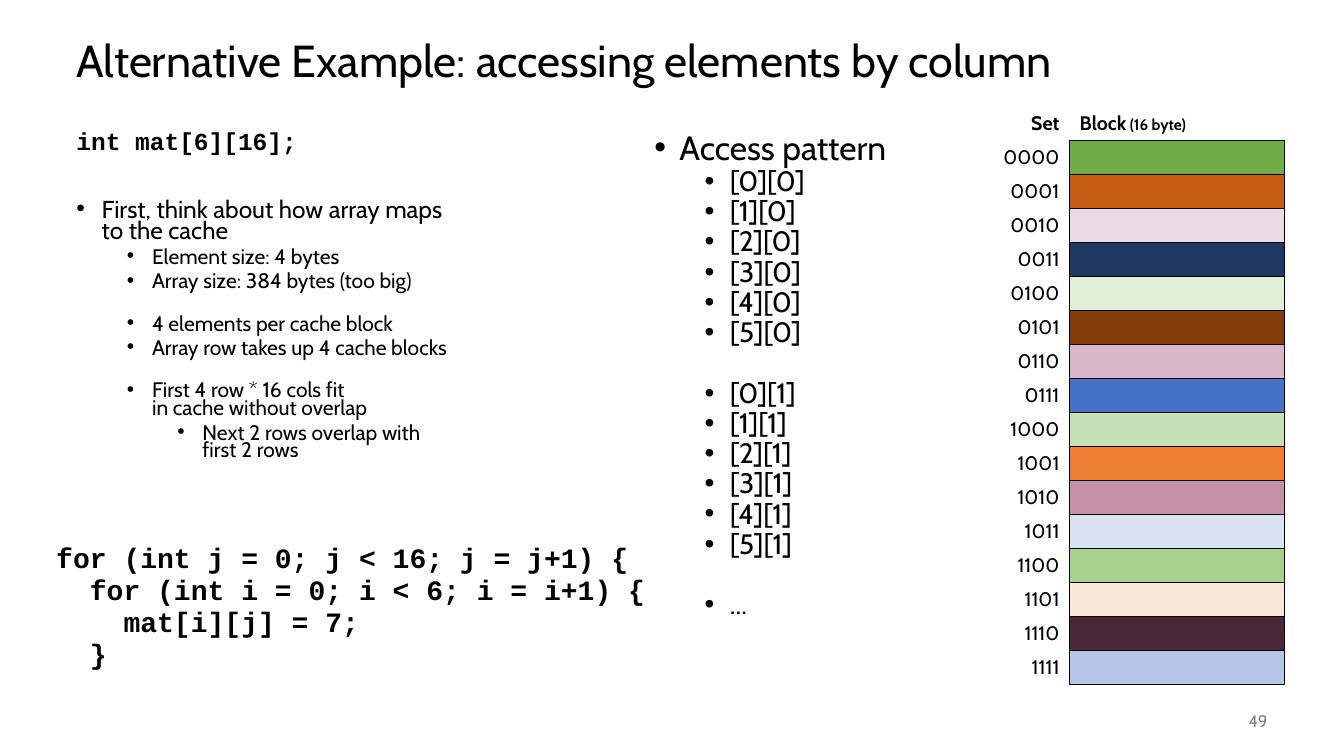
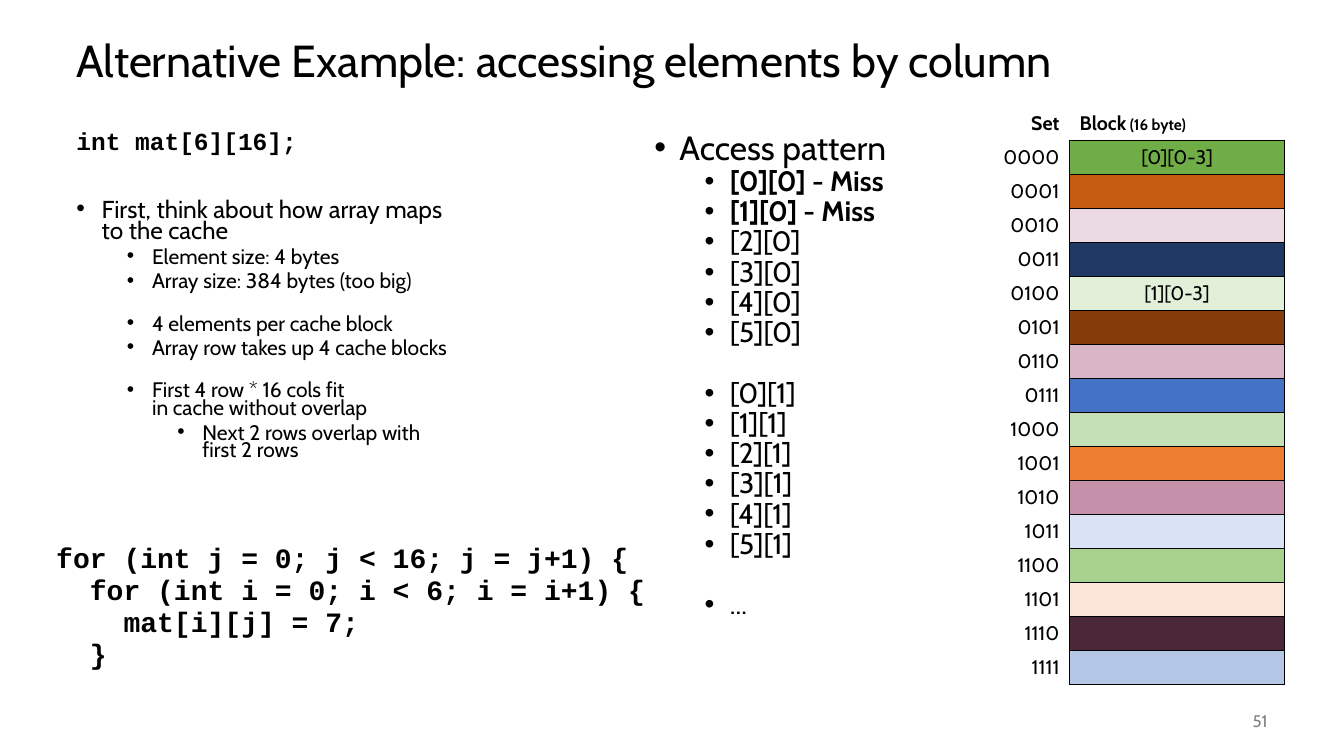
"""Build two slides on cache access by column."""
from dataclasses import dataclass

import pptx
import pptx.dml.color
import pptx.enum.text
import pptx.oxml
import pptx.oxml.ns
import pptx.util
from lxml import etree

Inches = pptx.util.Inches
Pt = pptx.util.Pt
ALIGN = pptx.enum.text.PP_ALIGN
MIDDLE = pptx.enum.text.MSO_ANCHOR.MIDDLE


@dataclass(frozen=True)
class Theme:
    """Fonts, colours and type sizes shared by the slides."""
    sans: str = "Cabin"
    mono: str = "Courier New"
    ink: str = "000000"
    paper: str = "FFFFFF"
    muted: str = "808080"
    title: float = 32
    heading: float = 24
    body: float = 20
    lead: float = 17.5
    detail: float = 15
    cell: float = 14
    unit: float = 11
    number: float = 12
    blocks: tuple = (
        "70AD47", "C55A11", "EBDAE3", "203864", "E2F0D9", "843C0B", "D8B5C7", "4472C4",
        "C5E0B4", "ED7D31", "C490AA", "DAE3F3", "A9D18E", "FBE5D6", "4A2839", "B4C7E7")


@dataclass(frozen=True)
class Box:
    """A region in hundredths of the slide's width and height."""
    left: float
    top: float
    width: float
    height: float

    def place(self):
        """Return the region's left, top, width and height as lengths."""
        return (int(self.left * COL), int(self.top * ROW),
                int(self.width * COL), int(self.height * ROW))


THEME = Theme()
WIDTH, HEIGHT = Inches(13.33), Inches(7.5)
COL, ROW = WIDTH / 100, HEIGHT / 100
TITLE_BOX = Box(4.95, 3.33, 90.02, 10)
NUMBER_BOX = Box(87.55, 92.67, 7.5, 5.33)
CODE_BOX = Box(3.45, 71.07, 56.79, 18.67)
NOTES_BOX = Box(4.95, 17.07, 29.48, 47.6)
CACHE_BOX = Box(72.92, 14.13, 22.66, 76.4)
PATTERN_BOX = Box(47.94, 16.67, 47.11, 73.33)

TITLE = "Alternative Example: accessing elements by column"
DECLARATION = "int mat[6][16];"
CODE = (
    "for (int j = 0; j < 16; j = j+1) {",
    "  for (int i = 0; i < 6; i = i+1) {",
    "    mat[i][j] = 7;",
    "  }",
)
NOTES = (
    (0, 34, "First, think about how array maps to the cache"),
    (1, 5, "Element size: 4 bytes"),
    (1, 5, "Array size: 384 bytes (too big)"),
    (1, 17.5, "4 elements per cache block"),
    (1, 5, "Array row takes up 4 cache blocks"),
    (1, 17.5, "First 4 row * 16 cols fit\nin cache without overlap"),
    (2, 5, "Next 2 rows overlap with first 2 rows"),
)
MAT_ROWS, COLS_SHOWN, BLOCKS_PER_ROW = 6, 2, 4


def add_run(p, text, size, font=THEME.sans, color=THEME.ink, bold=False):
    """Add text to a paragraph, one run for each line."""
    for i, line in enumerate(text.split("\n")):
        if i:
            p.add_line_break()
        r = p.add_run()
        r.text = line
        r.font.name, r.font.size, r.font.bold = font, Pt(size), bold
        r.font.color.rgb = pptx.dml.color.RGBColor.from_string(color)


def add_frame(slide, box, anchor=None):
    """Add a wrapping text box and return its text frame."""
    tf = slide.shapes.add_textbox(*box.place()).text_frame
    tf.word_wrap = True
    if anchor is not None:
        tf.vertical_anchor = anchor
    return tf


def add_paragraph(tf, spacing=0.9, before=0, level=None):
    """Return the next paragraph of a frame, bulleted if a level is given."""
    p = tf.paragraphs[0]
    if p.runs:
        p = tf.add_paragraph()
        p.space_before = Pt(before)
    p.line_spacing = spacing
    if level is not None:
        p.level = level
        pPr = p._p.get_or_add_pPr()
        pPr.set("marL", str(Inches(0.25 + 0.5 * level)))
        pPr.set("indent", str(-Inches(0.25)))
        etree.SubElement(pPr, pptx.oxml.ns.qn("a:buFont")).set("typeface", "Arial")
        etree.SubElement(pPr, pptx.oxml.ns.qn("a:buChar")).set("char", "•")
    return p


def add_title(slide, box):
    """Add the slide title."""
    add_run(add_paragraph(add_frame(slide, box, MIDDLE)), TITLE, THEME.title)


def add_number(slide, box, number):
    """Add the slide number."""
    p = add_frame(slide, box, MIDDLE).paragraphs[0]
    p.alignment = ALIGN.RIGHT
    add_run(p, str(number), THEME.number, color=THEME.muted)


def add_code(slide, box):
    """Add the nested loops."""
    tf = add_frame(slide, box)
    for line in CODE:
        add_run(add_paragraph(tf, 0.96), line, THEME.body, THEME.mono, bold=True)


def add_notes(slide, box):
    """Add the array declaration and the notes on its mapping."""
    tf = add_frame(slide, box)
    add_run(add_paragraph(tf, 0.7), DECLARATION, THEME.lead, THEME.mono, bold=True)
    for level, before, text in NOTES:
        p = add_paragraph(tf, 0.7, before, level)
        add_run(p, text, THEME.detail if level else THEME.lead)


def add_pattern(slide, box, misses):
    """Add the access order, marking the first accesses as misses."""
    tf = add_frame(slide, box)
    add_run(add_paragraph(tf, level=0), "Access pattern", THEME.heading)
    gap = THEME.body * 1.08
    for j in range(COLS_SHOWN):
        for i in range(MAT_ROWS):
            miss = j * MAT_ROWS + i < misses
            p = add_paragraph(tf, before=gap if j and not i else 0, level=1)
            add_run(p, f"[{i}][{j}]" + (" - Miss" if miss else ""), THEME.body, bold=miss)
    add_run(add_paragraph(tf, before=gap, level=1), "...", THEME.body)


def style_cell(cell, fill, sides, align):
    """Fill a cell, draw its borders and return its paragraph."""
    cell.margin_top = cell.margin_bottom = 0
    cell.vertical_anchor = MIDDLE
    tcPr = cell._tc.get_or_add_tcPr()
    for side in sides:
        tcPr.append(pptx.oxml.parse_xml(
            f'<a:ln{side} {pptx.oxml.ns.nsdecls("a")} w="{Pt(1)}"><a:solidFill>'
            f'<a:srgbClr val="{THEME.ink}"/></a:solidFill></a:ln{side}>'))
    cell.fill.solid()
    cell.fill.fore_color.rgb = pptx.dml.color.RGBColor.from_string(fill)
    p = cell.text_frame.paragraphs[0]
    p.alignment = align
    return p


def add_cache(slide, box, misses):
    """Add the table of cache sets with the blocks loaded so far."""
    left, top, width, height = box.place()
    count = len(THEME.blocks) + 1
    table = slide.shapes.add_table(count, 2, left, top, width, height).table
    table.first_row = table.horz_banding = False
    for column, parts in zip(table.columns, (5, 12)):
        column.width = int(width * parts / 17)
    for row in table.rows:
        row.height = int(height / count)
    p = style_cell(table.cell(0, 0), THEME.paper, "", ALIGN.RIGHT)
    add_run(p, "Set", THEME.cell, bold=True)
    p = style_cell(table.cell(0, 1), THEME.paper, "B", ALIGN.LEFT)
    add_run(p, "Block", THEME.cell, bold=True)
    add_run(p, " (16 byte)", THEME.unit, bold=True)
    loaded = {i * BLOCKS_PER_ROW: f"[{i}][0-3]" for i in range(misses)}
    for index, color in enumerate(THEME.blocks):
        p = style_cell(table.cell(index + 1, 0), THEME.paper, "R", ALIGN.RIGHT)
        add_run(p, f"{index:04b}", THEME.cell)
        p = style_cell(table.cell(index + 1, 1), color, "LRTB", ALIGN.CENTER)
        if index in loaded:
            add_run(p, loaded[index], THEME.cell)


def add_access_slide(prs, number, misses):
    """Add one step of the access example."""
    slide = prs.slides.add_slide(prs.slide_layouts[6])
    add_title(slide, TITLE_BOX)
    add_number(slide, NUMBER_BOX, number)
    add_code(slide, CODE_BOX)
    add_notes(slide, NOTES_BOX)
    add_cache(slide, CACHE_BOX, misses)
    add_pattern(slide, PATTERN_BOX, misses)


def main():
    """Build and save the presentation."""
    prs = pptx.Presentation()
    prs.slide_width, prs.slide_height = WIDTH, HEIGHT
    for number, misses in ((49, 0), (51, 2)):
        add_access_slide(prs, number, misses)
    prs.save("out.pptx")


if __name__ == "__main__":
    main()
